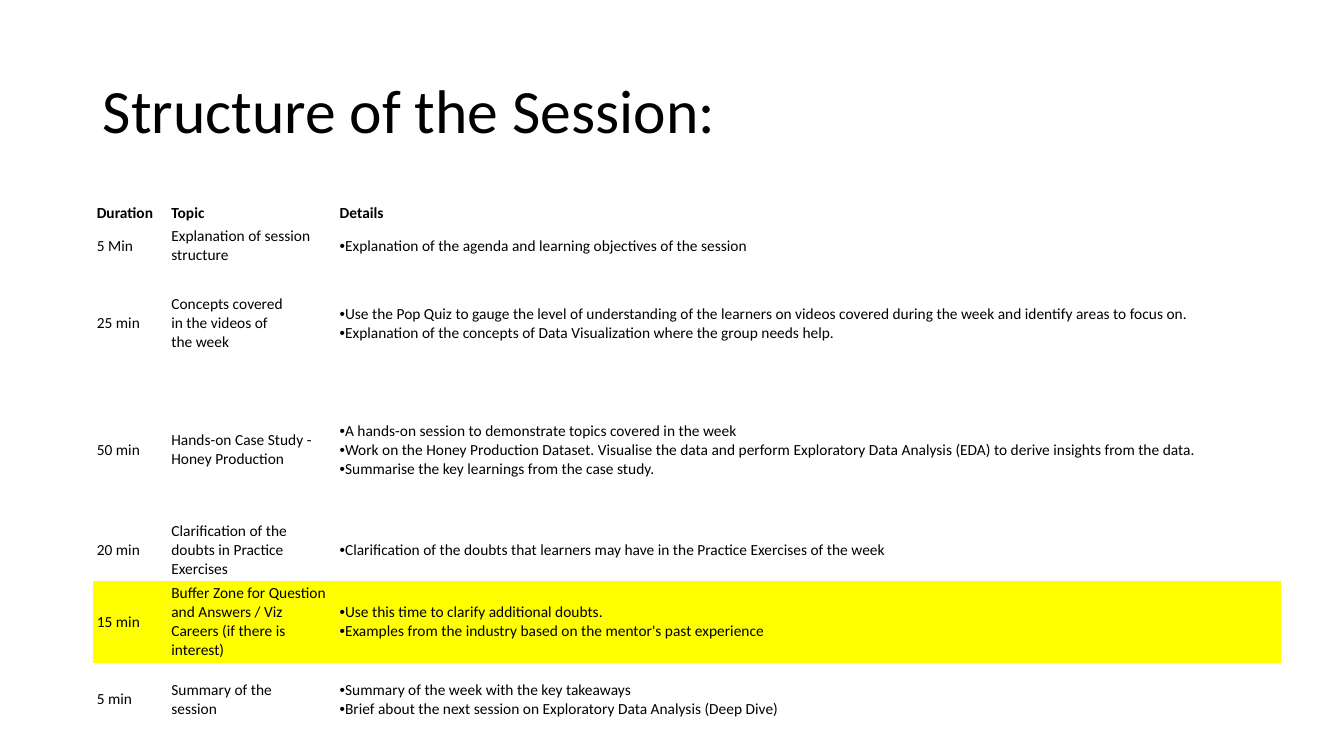
from lxml.etree import SubElement
from pptx import Presentation
from pptx.dml.color import RGBColor
from pptx.enum.text import MSO_ANCHOR, PP_ALIGN
from pptx.oxml.ns import qn
from pptx.util import Inches, Pt


def rgb(value):
    return RGBColor.from_string(value)


def style_run(r, size, bold=False):
    for name, value in {"name": "Calibri", "size": Pt(size), "bold": bold}.items():
        setattr(r.font, name, value)
    r.font.color.rgb = rgb("000000")


prs = Presentation()
prs.slide_width, prs.slide_height = Inches(13.33), Inches(7.5)
s = prs.slides.add_slide(prs.slide_layouts[5])

title = s.shapes.title
box = {"left": 0.92, "top": 0.4, "width": 11.5, "height": 1.45}
for name, value in box.items():
    setattr(title, name, Inches(value))
tf = title.text_frame
tf.text = "Structure of the Session:"
tf.vertical_anchor = MSO_ANCHOR.MIDDLE
p = tf.paragraphs[0]
p.alignment = PP_ALIGN.LEFT
p.line_spacing = 0.9
style_run(p.runs[0], 44)

agenda = [
    (0.22, "Duration", "Topic", ["Details"]),
    (0.42, "5 Min", "Explanation of session structure",
     ["Explanation of the agenda and learning objectives of the session"]),
    (1.12, "25 min", "Concepts covered\nin the videos of\nthe week",
     ["Use the Pop Quiz to gauge the level of understanding of the learners on videos "
      "covered during the week and identify areas to focus on.",
      "Explanation of the concepts of Data Visualization where the group needs help."]),
    (1.39, "50 min", "Hands-on Case Study - Honey Production",
     ["A hands-on session to demonstrate topics covered in the week",
      "Work on the Honey Production Dataset. Visualise the data and perform Exploratory "
      "Data Analysis (EDA) to derive insights from the data.",
      "Summarise the key learnings from the case study."]),
    (0.61, "20 min", "Clarification of the doubts in Practice Exercises",
     ["Clarification of the doubts that learners may have in the Practice Exercises "
      "of the week"]),
    (0.81, "15 min",
     "Buffer Zone for Question and Answers / Viz Careers (if there is interest)",
     ["Use this time to clarify additional doubts.",
      "Examples from the industry based on the mentor's past experience"]),
    (0.72, "5 min", "Summary of the\nsession",
     ["Summary of the week with the key takeaways",
      "Brief about the next session on Exploratory Data Analysis (Deep Dive)"]),
]
widths = [0.74, 1.67, 9.38]
cell_format = {
    "margin_left": Inches(0.04), "margin_right": Inches(0.04),
    "margin_top": Inches(0.02), "margin_bottom": Inches(0.02),
    "vertical_anchor": MSO_ANCHOR.MIDDLE,
}

frame = s.shapes.add_table(len(agenda), len(widths), Inches(0.92), Inches(2),
                           Inches(sum(widths)), Inches(sum(row[0] for row in agenda)))
table = frame.table
table.first_row = table.horz_banding = False
style_id = table._tbl.tblPr.find(qn("a:tableStyleId"))
style_id.text = "{2D5ABB26-0587-4C30-8999-92F81FD0307C}"
for column, width in zip(table.columns, widths):
    column.width = Inches(width)

for i, (height, duration, topic, details) in enumerate(agenda):
    table.rows[i].height = Inches(height)
    for j, lines in enumerate([[duration], [topic], details]):
        cell = table.cell(i, j)
        for name, value in cell_format.items():
            setattr(cell, name, value)
        if duration == "15 min":
            cell.fill.solid()
            cell.fill.fore_color.rgb = rgb("FFFF00")
        else:
            cell.fill.background()
        tf = cell.text_frame
        for k, line in enumerate(lines):
            p = tf.add_paragraph() if k else tf.paragraphs[0]
            p.text = line
            if i and j == 2:
                pPr = p._p.get_or_add_pPr()
                SubElement(pPr, qn("a:buFont"), typeface="Arial")
                SubElement(pPr, qn("a:buChar"), char="•")
            for r in p.runs:
                style_run(r, 11, bold=i == 0)

prs.save("out.pptx")
